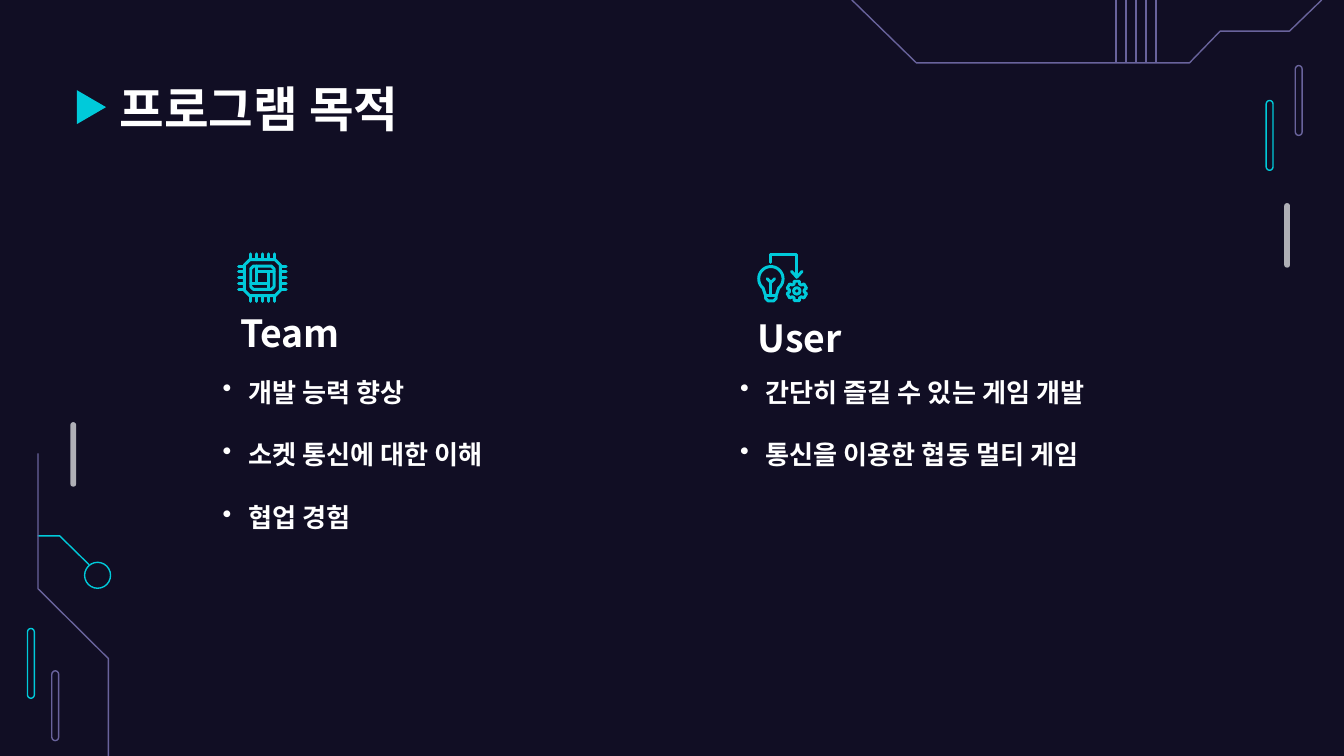
import math
from lxml import etree
from pptx import Presentation, util as u
from pptx.dml.color import RGBColor
from pptx.enum import shapes, text
from pptx.oxml.ns import qn

COLORS = {"bg": "110E24", "cyan": "00CADA", "purple": "69639C",
          "grey": "AFAFB6", "white": "FFFFFF"}
FONT = "Noto Sans CJK KR"
SHAPE = shapes.MSO_SHAPE


def rgb(name):
    return RGBColor.from_string(COLORS[name])


def polar(cx, cy, radius, degrees):
    a = math.radians(degrees)
    return cx + radius * math.cos(a), cy + radius * math.sin(a)


class Deck:
    def __init__(self, prs):
        self.s = prs.slides.add_slide(prs.slide_layouts[5])
        self.s.background.fill.solid()
        self.s.background.fill.fore_color.rgb = rgb("bg")

    def paint(self, sp, fill=None, line=None, width=0.75):
        sp.shadow.inherit = False
        if fill:
            sp.fill.solid()
            sp.fill.fore_color.rgb = rgb(fill)
        else:
            sp.fill.background()
        if line:
            sp.line.color.rgb = rgb(line)
            sp.line.width = u.Pt(width)
        else:
            sp.line.fill.background()
        return sp

    def shape(self, kind, x, y, w, h, **style):
        sp = self.s.shapes.add_shape(kind, u.Cm(x), u.Cm(y), u.Cm(w), u.Cm(h))
        return self.paint(sp, **style)

    def pill(self, x, y, w, h, **style):
        sp = self.shape(SHAPE.ROUNDED_RECTANGLE, x, y, w, h, **style)
        sp.adjustments[0] = 0.5

    def line(self, x1, y1, x2, y2, color):
        c = self.s.shapes.add_connector(shapes.MSO_CONNECTOR.STRAIGHT,
                                        u.Cm(x1), u.Cm(y1), u.Cm(x2), u.Cm(y2))
        c.line.color.rgb = rgb(color)
        c.line.width = u.Pt(0.75)
        etree.SubElement(c._element.spPr, qn("a:effectLst"))

    def trace(self, strokes, color, width=0.75, close=False):
        strokes = [[(u.Cm(x), u.Cm(y)) for x, y in pts] for pts in strokes]
        fb = self.s.shapes.build_freeform(*strokes[0][0])
        for i, pts in enumerate(strokes):
            if i:
                fb.move_to(*pts[0])
            fb.add_line_segments(pts[1:], close=close)
        sp = self.paint(fb.convert_to_shape(), line=color, width=width)
        ln = sp.line._get_or_add_ln()
        ln.set("cap", "rnd")
        etree.SubElement(ln, qn("a:round"))

    def icon(self, strokes, close=False):
        self.trace(strokes, "cyan", 1.6, close)

    def set_text(self, sp, lines, size, anchor, bullets=False, gap=0):
        tf = sp.text_frame
        tf.word_wrap = True
        tf.auto_size = text.MSO_AUTO_SIZE.NONE
        tf.vertical_anchor = anchor
        tf.margin_left = tf.margin_right = u.Cm(0.25)
        tf.margin_top = tf.margin_bottom = u.Cm(0.25)
        tf.text = "\n".join(lines)
        for i, p in enumerate(tf.paragraphs):
            p.alignment = text.PP_ALIGN.LEFT
            p.space_before = u.Pt(gap if i else 0)
            if bullets:
                pPr = p._p.get_or_add_pPr()
                pPr.set("marL", str(u.Cm(0.48)))
                pPr.set("indent", str(-u.Cm(0.48)))
                etree.SubElement(pPr, qn("a:buChar"), char="•")
            for r in p.runs:
                r.font.size, r.font.bold, r.font.name = u.Pt(size), True, FONT
                r.font.color.rgb = rgb("white")
                etree.SubElement(r.font._element, qn("a:ea"), typeface=FONT)

    def title(self, words, x, y, w, h):
        sp = self.s.shapes.title
        sp.left, sp.top, sp.width, sp.height = map(u.Cm, (x, y, w, h))
        self.set_text(sp, [words], 26, text.MSO_ANCHOR.TOP)

    def text(self, lines, x, y, w, h, size, anchor=text.MSO_ANCHOR.TOP, **style):
        sp = self.s.shapes.add_textbox(u.Cm(x), u.Cm(y), u.Cm(w), u.Cm(h))
        self.set_text(sp, lines, size, anchor, **style)

    def chip(self, cx, cy):
        def octagon(half, cut):
            a, b = half, half - cut
            pts = [(-b, -a), (b, -a), (a, -b), (a, b), (b, a), (-b, a), (-a, b), (-a, -b)]
            return [(cx + x, cy + y) for x, y in pts]

        def turned(pts):
            strokes = []
            for _ in range(4):
                strokes.append([(cx + x, cy + y) for x, y in pts])
                pts = [(-y, x) for x, y in pts]
            return strokes

        self.icon([octagon(0.34, 0.1), octagon(0.22, 0.05)], close=True)
        pins = [k * 0.11 for k in range(-2, 3)]
        self.icon([st for k in pins for st in turned([(k, -0.34), (k, -0.45)])])
        self.icon(turned([(-0.11, -0.22), (-0.11, 0.11)]))

    def idea(self, cx, cy):
        dome = [polar(cx, cy, 0.23, a) for a in range(130, 411, 10)]
        base = [(cx + x, cy + y) for x, y in
                [(0.1, 0.32), (0.1, 0.37), (0.05, 0.42), (-0.05, 0.42), (-0.1, 0.37), (-0.1, 0.32)]]
        self.icon([dome + base], close=True)
        self.icon([[(cx - 0.1, cy + 0.32), (cx + 0.1, cy + 0.32)],
                   [(cx, cy + 0.32), (cx, cy + 0.07)],
                   [(cx - 0.07, cy), (cx, cy + 0.07), (cx + 0.07, cy)]])
        gx, gy = cx + 0.49, cy + 0.23
        teeth = [(0.14, -22), (0.19, -15), (0.19, 15), (0.14, 22)]
        self.icon([[polar(gx, gy, r, k * 60 - 90 + a) for k in range(6) for r, a in teeth]],
                  close=True)
        self.shape(SHAPE.OVAL, gx - 0.06, gy - 0.06, 0.12, 0.12, line="cyan", width=1.6)
        self.icon([[(cx, cy - 0.31), (cx, cy - 0.46), (gx, cy - 0.46), (gx, cy - 0.03)],
                   [(gx - 0.1, cy - 0.14), (gx, cy - 0.03), (gx + 0.1, cy - 0.14)]])


def main():
    prs = Presentation()
    prs.slide_width, prs.slide_height = u.Cm(25.4), u.Cm(14.29)
    d = Deck(prs)

    for x, y, color in [(23.93, 1.9, "cyan"), (24.48, 1.24, "purple"),
                        (0.52, 11.88, "cyan"), (0.98, 12.68, "purple")]:
        d.pill(x, y, 0.13, 1.32, line=color)
    for x, y in [(24.27, 3.84), (1.33, 7.98)]:
        d.pill(x, y, 0.11, 1.22, fill="grey")

    for k in range(5):
        x = 21.09 + k * 0.19
        d.line(x, 0, x, 1.19, "purple")
    d.trace([[(16.1, 0), (17.32, 1.19), (22.48, 1.19), (23.06, 0.59),
              (24.37, 0.59), (24.98, 0)]], "purple")
    d.trace([[(1.68, 10.67), (1.13, 10.13), (0.72, 10.13)]], "cyan")
    d.shape(SHAPE.OVAL, 1.6, 10.63, 0.49, 0.49, line="cyan")
    d.trace([[(0.72, 8.58), (0.72, 11.13), (2.05, 12.45), (2.05, 14.29)]], "purple")

    marker = d.shape(SHAPE.FLOWCHART_MERGE, 1.41, 1.75, 0.64, 0.55, fill="cyan")
    marker.rotation = 270
    d.title("프로그램 목적", 2.01, 1.24, 21.41, 1.6)

    columns = [
        ("Team", 4.29, 5.61, 3.96, 6.27,
         ["개발 능력 향상", "소켓 통신에 대한 이해", "협업 경험"]),
        ("User", 14.07, 5.71, 13.74, 8.64,
         ["간단히 즐길 수 있는 게임 개발", "통신을 이용한 협동 멀티 게임"]),
    ]
    for heading, x, y, list_x, list_w, goals in columns:
        d.text([heading], x, y, 6.27, 1.35, 20, text.MSO_ANCHOR.BOTTOM)
        d.text(goals, list_x, 6.86, list_w, 4.17, 14, bullets=True, gap=16.8)
    d.idea(14.57, 5.27)
    d.chip(4.96, 5.25)
    prs.save("out.pptx")


if __name__ == "__main__":
    main()
